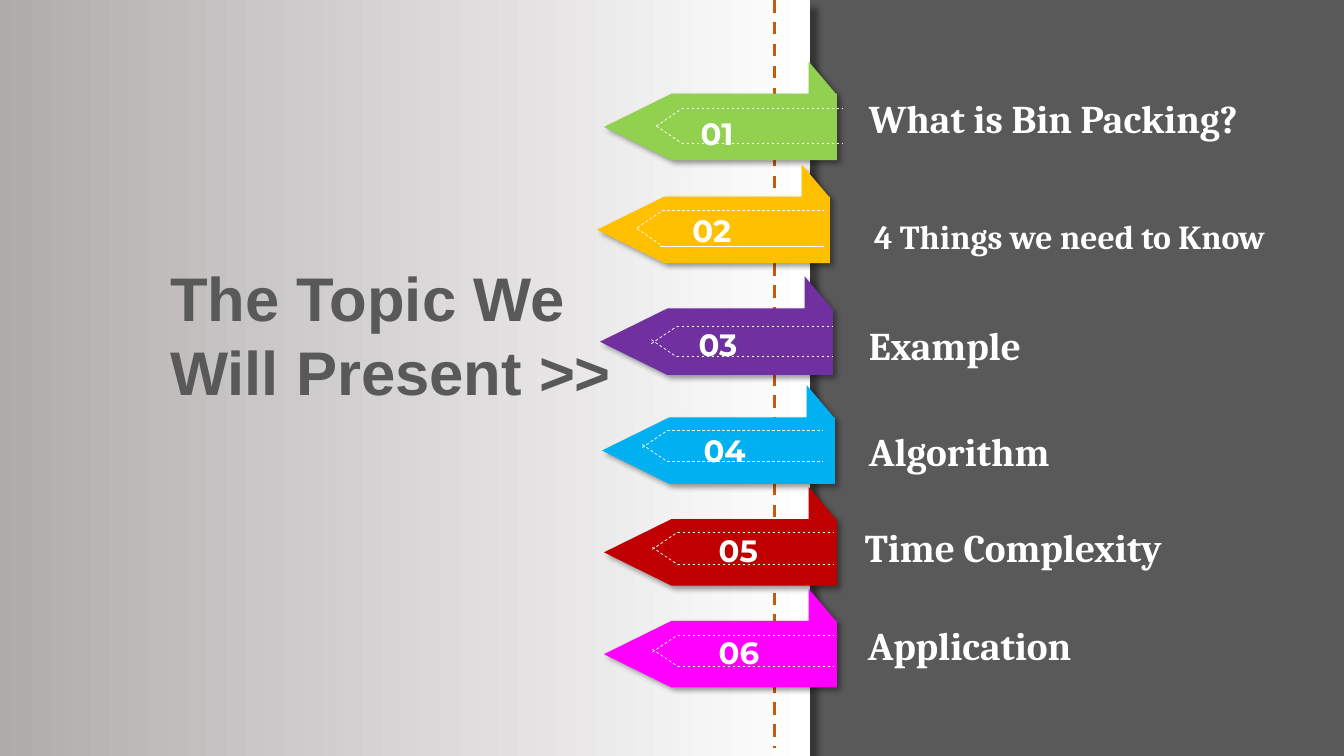
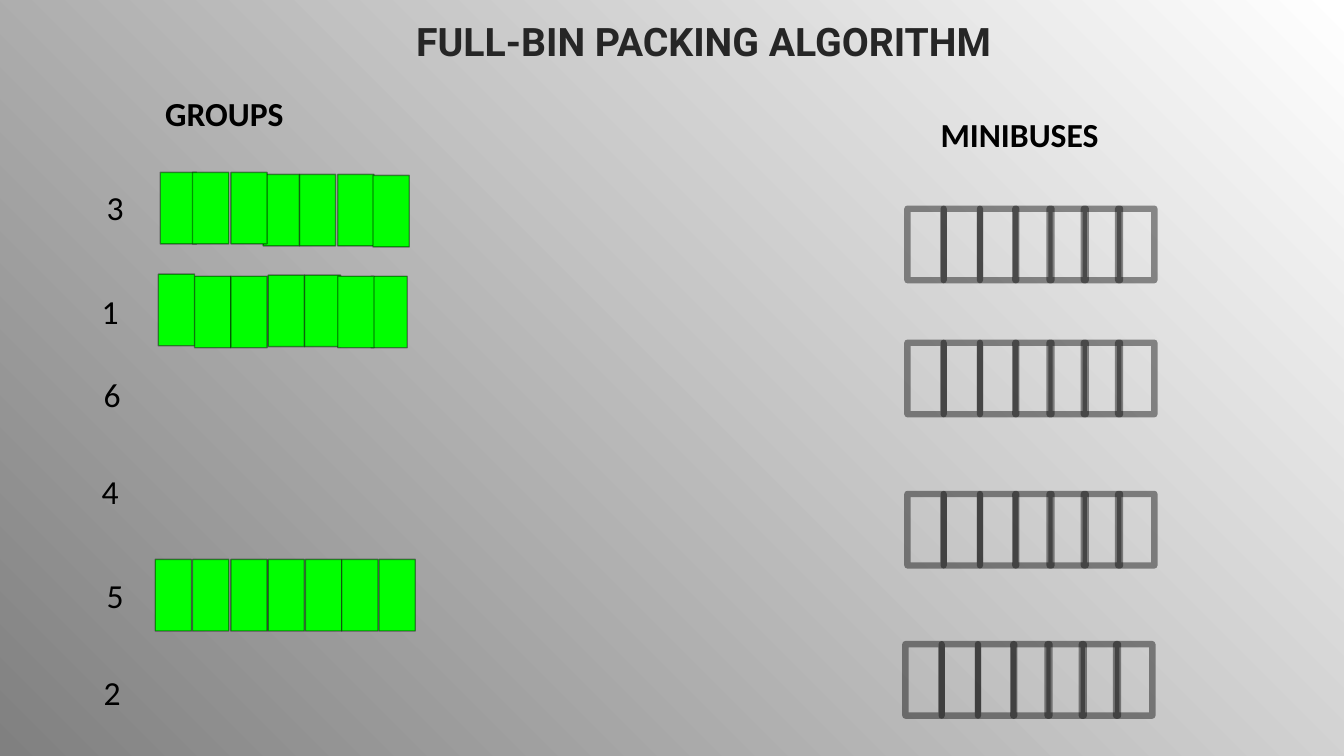
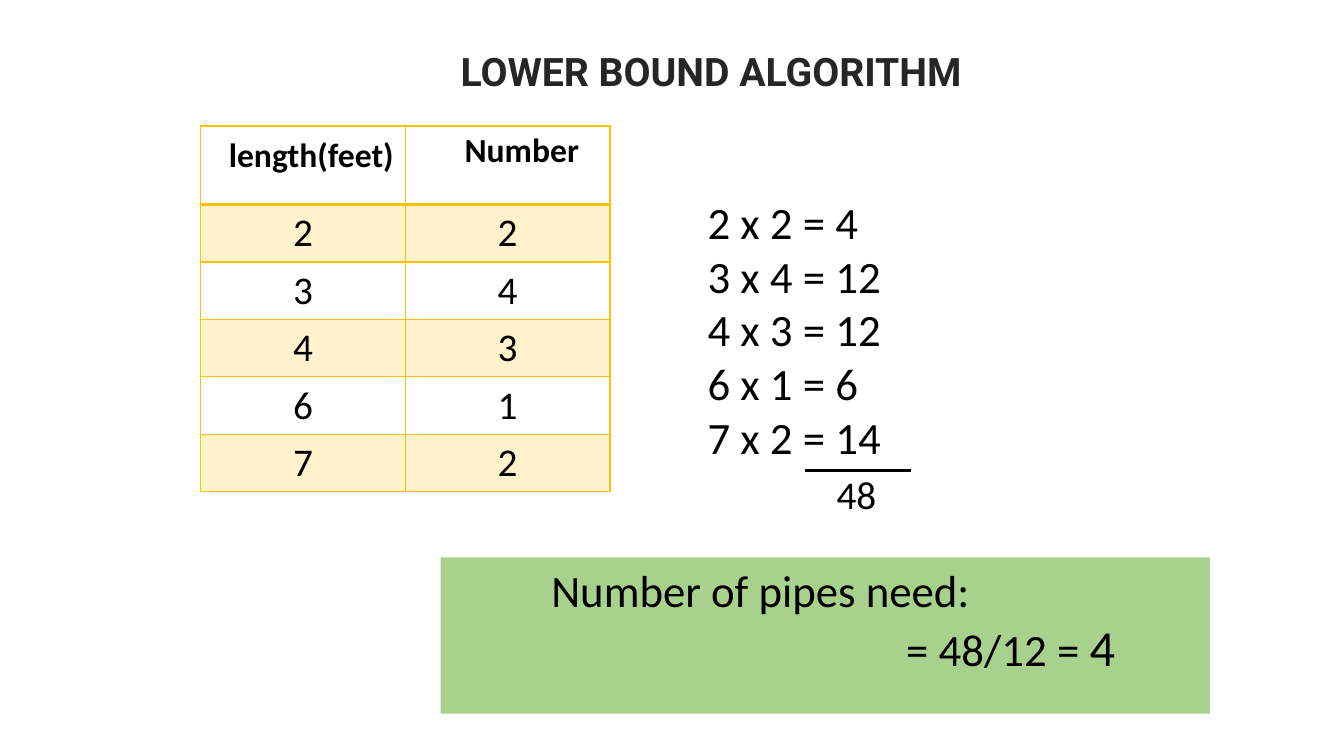
from lxml import etree
from pptx import Presentation
from pptx.dml.color import RGBColor
from pptx.enum.dml import MSO_LINE
from pptx.enum.shapes import MSO_CONNECTOR, MSO_SHAPE
from pptx.enum.text import MSO_ANCHOR, MSO_AUTO_SIZE, PP_ALIGN
from pptx.oxml.ns import qn
from pptx.util import Pt

PX = 9144  # one px is a hundredth of an inch
STRAIGHT = MSO_CONNECTOR.STRAIGHT
RECT = MSO_SHAPE.RECTANGLE
DASH = MSO_LINE.DASH
TOP = MSO_ANCHOR.TOP
LEFT, CENTER = PP_ALIGN.LEFT, PP_ALIGN.CENTER
GROW = MSO_AUTO_SIZE.SHAPE_TO_FIT_TEXT

HEX = {
    "black": "000000", "white": "FFFFFF", "title": "262626",
    "slate": "595959", "page": "AFABAB", "rust": "C55A11",
    "lime": "92D050", "gold": "FFC000", "purple": "7030A0",
    "sky": "00B0F0", "red": "C00000", "magenta": "FF00FF",
    "gray": "808080", "green": "00FF00", "cream": "FFF2CC", "sage": "A9D18E",
}
COLORS = {name: RGBColor.from_string(value) for name, value in HEX.items()}

# Text styles: colour name and font attributes
STYLES = {
    "title": ("title", {"name": "Roboto", "size": Pt(28), "bold": True}),
    "cover": ("slate", {"name": "Arial", "size": Pt(44), "bold": True}),
    "number": ("white", {"name": "Montserrat", "size": Pt(22), "bold": True}),
    "topic": ("white", {"name": "Cambria", "size": Pt(28), "bold": True}),
    "small topic": ("white", {"name": "Cambria", "size": Pt(24), "bold": True}),
    "heading": ("black", {"name": "Calibri", "size": Pt(24), "bold": True}),
    "count": ("black", {"name": "Calibri", "size": Pt(24), "bold": False}),
    "value": ("black", {"name": "Calibri", "size": Pt(28), "bold": False}),
    "working": ("black", {"name": "Calibri", "size": Pt(32), "bold": False}),
}


def write(frame, text, style, align=LEFT):
    """Fill a text frame, one paragraph a line, in a named style."""
    color, font = STYLES[style]
    frame.word_wrap = True
    frame.text = text
    for paragraph in frame.paragraphs:
        paragraph.alignment = align
        for run in paragraph.runs:
            run.font.color.rgb = COLORS[color]
            for attribute, value in font.items():
                setattr(run.font, attribute, value)


def draw_line(slide, ends, color, width, dash=None):
    """Draw a straight line without a shadow."""
    line = slide.shapes.add_connector(STRAIGHT, *(v * PX for v in ends))
    line.line.color.rgb = COLORS[color]
    line.line.width = Pt(width)
    line.line.dash_style = dash
    etree.SubElement(line._element.spPr, qn("a:effectLst"))


prs = Presentation()
prs.slide_width, prs.slide_height = 1333 * PX, 750 * PX
topics, packing, bound = (prs.slides.add_slide(prs.slide_layouts[6]) for _ in range(3))

# Backgrounds
for slide, color in ((topics, "slate"), (bound, "white")):
    slide.background.fill.solid()
    slide.background.fill.fore_color.rgb = COLORS[color]
packing.background.fill.gradient()

# Slide 1: page on the left
page = topics.shapes.add_shape(RECT, -7 * PX, 0, 810 * PX, 750 * PX)
page.line.fill.background()
page.fill.gradient()
page.fill.gradient_angle = 0
for fill, start in ((page.fill, "page"), (packing.background.fill, "gray")):
    for stop, color in zip(fill.gradient_stops, (start, "white")):
        stop.color.rgb = COLORS[color]
shadows = [(page, 8)]
draw_line(topics, (768, 0, 768, 742), "rust", 2.25, DASH)

# Slide 2: the gradient spreads from the lower left corner
gradient = packing.element.find(".//" + qn("a:gradFill"))
gradient.remove(gradient.find(qn("a:lin")))
spread = etree.SubElement(gradient, qn("a:path"), {"path": "circle"})
etree.SubElement(spread, qn("a:fillToRect"), {"t": "100000", "r": "100000"})

# Slide 1: ribbons as colour, corner, and guide (shoulder, right, top, bottom)
RIBBON_BODY = ((67, 32), (231, 32), (231, 98), (67, 98), (0, 65))
RIBBON_FOLD = ((203, 0), (230, 32), (203, 32))
ribbons = (
    ("lime", 599, 61, (676, 836, 108, 142), (685, 109)),
    ("gold", 592, 163, (657, 817, 209, 244), (677, 205)),
    ("purple", 595, 274, (671, 825, 324, 354), (683, 318)),
    ("sky", 597, 382, (662, 816, 427, 458), (688, 423)),
    ("red", 599, 483, (672, 826, 528, 560), (703, 523)),
    ("magenta", 599, 584, (672, 826, 630, 661), (703, 624)),
)
boxes = [(topics, "The Topic We Will Present >>", "cover", (159, 253, 492, 158))]
for index, (color, left, top, guide, number_at) in enumerate(ribbons, 1):
    body, fold = ([(left + x, top + y) for x, y in part]
                  for part in (RIBBON_BODY, RIBBON_FOLD))
    outline = topics.shapes.build_freeform(*body[0], scale=PX)
    outline.add_line_segments(body[1:])
    outline.move_to(*fold[0])
    outline.add_line_segments(fold[1:])
    ribbon = outline.convert_to_shape()
    ribbon.fill.solid()
    ribbon.fill.fore_color.rgb = COLORS[color]
    ribbon.line.fill.background()
    shadows.append((ribbon, 3))

    shoulder, right, upper, lower = guide
    tip = shoulder - 25
    for ends in ((shoulder, upper, right, upper), (shoulder, lower, right, lower),
                 (tip, upper + 17, shoulder, upper), (tip, lower - 17, shoulder, lower)):
        draw_line(topics, ends, "white", 0.5, DASH)
    boxes.append((topics, f"{index:02}", "number", (*number_at, 117, 47)))
draw_line(topics, (655, 244, 815, 244), "white", 0.5, DASH)

for shape, distance in shadows:
    shape.shadow.inherit = False
    effects = shape._element.spPr.find(qn("a:effectLst"))
    shadow = etree.SubElement(effects, qn("a:outerShdw"), {
        "blurRad": str(Pt(4)), "dist": str(Pt(distance)), "dir": "2700000",
        "algn": "tl", "rotWithShape": "0"})
    tint = etree.SubElement(shadow, qn("a:srgbClr"), {"val": HEX["black"]})
    etree.SubElement(tint, qn("a:alpha"), {"val": "40000"})

for text, style, left, top in (
        ("What is Bin Packing?", "topic", 852, 89),
        ("4 Things we need to Know", "small topic", 857, 209),
        ("Example", "topic", 852, 314),
        ("Algorithm", "topic", 852, 419),
        ("Time Complexity", "topic", 848, 514),
        ("Application", "topic", 851, 611)):
    boxes.append((topics, text, style, (left, top, 439, 57)))

# Slide 2: seats of the groups, back to front, then of the minibuses
group_seats = (
    [(left, 555) for left in (154, 191, 229, 266, 303, 339, 376)]
    + [(297, 173), (159, 171), (261, 173), (229, 171), (191, 171), (335, 173), (370, 174)]
    + [(302, 273), (193, 274), (157, 272), (229, 274), (368, 274), (335, 274), (266, 273)]
)
SEAT_OFFSETS = (0, 36, 72, 107, 141, 175, 209)
bus_seats = [(left + offset, top)
             for left, top in ((900, 207), (900, 340), (900, 490), (898, 639))
             for offset in SEAT_OFFSETS]
for seats, color, border in ((group_seats, "green", 1), (bus_seats, None, 4.5)):
    for left, top in seats:
        seat = packing.shapes.add_shape(RECT, left * PX, top * PX, 36 * PX, 71 * PX)
        seat.shadow.inherit = False
        if color:
            seat.fill.solid()
            seat.fill.fore_color.rgb = COLORS[color]
        else:
            seat.fill.background()
        seat.line.color.rgb = COLORS["black"]
        seat.line.width = Pt(border)
        ink = seat._element.spPr.find(qn("a:ln")).find(".//" + qn("a:srgbClr"))
        etree.SubElement(ink, qn("a:alpha"), {"val": "42000"})

# Slide 2: titles and group sizes
boxes += [
    (packing, "FULL-BIN PACKING ALGORITHM", "title", (403, 12, 720, 57)),
    (packing, "GROUPS", "heading", (154, 87, 201, 50)),
    (packing, "MINIBUSES", "heading", (923, 108, 201, 50)),
]
for size, left, top in ((3, 96, 181), (1, 91, 284), (6, 93, 366),
                        (4, 91, 462), (5, 96, 565), (2, 93, 662)):
    boxes.append((packing, str(size), "count", (left, top, 41, 50)))

# Slide 3: title and working
pipes = ((2, 2), (3, 4), (4, 3), (6, 1), (7, 2))
working = "\n".join(f"{length} x {number} = {length * number}" for length, number in pipes)
boxes += [
    (bound, "LOWER BOUND ALGORITHM", "title", (447, 42, 638, 57)),
    (bound, working, "working", (692, 188, 212, 279)),
    (bound, "48", "value", (820, 462, 136, 57)),
]
draw_line(bound, (798, 467, 904, 467), "black", 2.25)

# Text boxes of all slides
for slide, text, style, place in boxes:
    frame = slide.shapes.add_textbox(*(v * PX for v in place)).text_frame
    write(frame, text, style)
    frame.auto_size = GROW

# Slide 3: answer
answer = bound.shapes.add_shape(RECT, 437 * PX, 553 * PX, 763 * PX, 155 * PX)
answer.shadow.inherit = False
answer.fill.solid()
answer.fill.fore_color.rgb = COLORS["sage"]
answer.line.fill.background()
answer.text_frame.vertical_anchor = TOP
write(answer.text_frame, "Number of pipes need:\n= 48/12 = ", "working")
result = answer.text_frame.paragraphs[1].add_run()
result.text = "4"
result.font.name, result.font.size = "Calibri", Pt(36)
result.font.color.rgb = COLORS["black"]
for paragraph, indent in zip(answer.text_frame.paragraphs, (100, 452)):
    paragraph._p.get_or_add_pPr().set("marL", str(indent * PX))

# Slide 3: table of pipes
rows = (("length(feet)", "Number"), *pipes)
table = bound.shapes.add_table(len(rows), 2, 199 * PX, 125 * PX, 406 * PX, 363 * PX).table
table.first_row = table.horz_banding = False
for r, row in enumerate(rows):
    table.rows[r].height = (57 if r else 78) * PX
    for c, text in enumerate(row):
        cell = table.cell(r, c)
        if r % 2:
            cell.fill.solid()
            cell.fill.fore_color.rgb = COLORS["cream"]
        else:
            cell.fill.background()
        write(cell.text_frame, str(text), "value" if r else "heading",
              CENTER if r or c else LEFT)
        borders = cell._tc.get_or_add_tcPr()
        for place, side in enumerate(("a:lnL", "a:lnR", "a:lnT", "a:lnB")):
            heavy = (r == 0 and side == "a:lnB") or (r == 1 and side == "a:lnT")
            edge = etree.Element(qn(side), {"w": str(Pt(2 if heavy else 1))})
            ink = etree.SubElement(edge, qn("a:solidFill"))
            etree.SubElement(ink, qn("a:srgbClr"), {"val": HEX["gold"]})
            borders.insert(place, edge)
table.cell(0, 0).margin_left, table.cell(0, 0).margin_top = 28 * PX, 10 * PX
table.cell(0, 1).margin_left = 38 * PX

prs.save("out.pptx")
